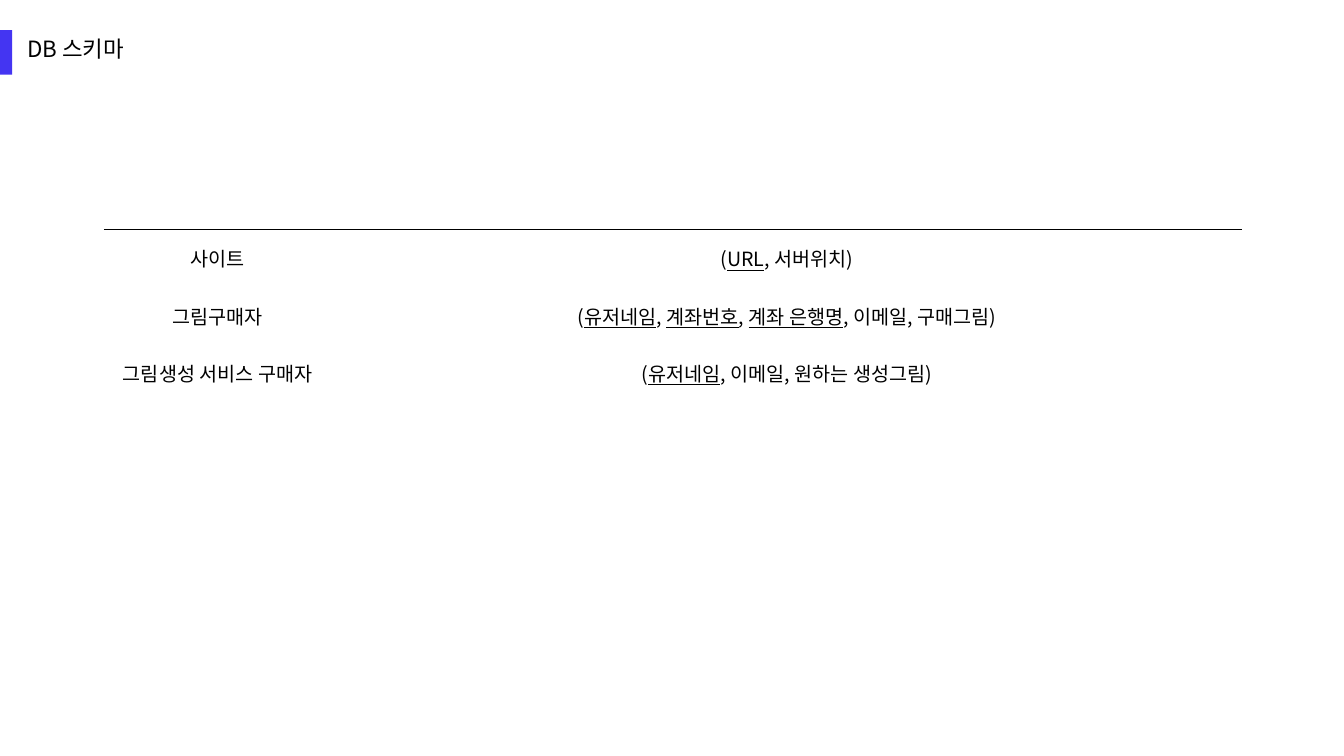
import pptx
import pptx.dml.color
import pptx.enum.shapes
import pptx.enum.text
import pptx.oxml
import pptx.oxml.ns
import pptx.util

Inches = pptx.util.Inches
FONT = "Noto Sans CJK KR"
BLACK = "000000"
ACCENT = "4435F2"
NO_STYLE = "{2D5ABB26-0587-4C30-8999-92F81FD0307C}"
SCHEMA = [
    ("사이트", "(_URL_, 서버위치)"),
    ("그림구매자", "(_유저네임_, _계좌번호_, _계좌 은행명_, 이메일, 구매그림)"),
    ("그림생성 서비스 구매자", "(_유저네임_, 이메일, 원하는 생성그림)"),
]


def rgb(value):
    """Turn a hex string into a colour."""
    return pptx.dml.color.RGBColor.from_string(value)


def add_run(p, text, size, underline=False):
    """Add a black run in the slide font, for Latin and Korean letters."""
    r = p.add_run()
    r.text = text
    formats = {"name": FONT, "size": pptx.util.Pt(size), "underline": underline}
    for name, value in formats.items():
        setattr(r.font, name, value)
    r.font.color.rgb = rgb(BLACK)
    ea = pptx.oxml.parse_xml(f'<a:ea {pptx.oxml.ns.nsdecls("a")} typeface="{FONT}"/>')
    r.font._element.find(pptx.oxml.ns.qn("a:latin")).addnext(ea)


def add_top_border(cell):
    """Draw a one-point black line along the top of a cell."""
    line = pptx.oxml.parse_xml(
        f'<a:lnT {pptx.oxml.ns.nsdecls("a")} w="12700"><a:solidFill>'
        f'<a:srgbClr val="{BLACK}"/></a:solidFill></a:lnT>')
    cell._tc.get_or_add_tcPr().insert(0, line)


def add_header(s, left, top, width):
    """Place the accent bar and the slide title beside it."""
    bar_width = Inches(0.12)
    bar = s.shapes.add_shape(pptx.enum.shapes.MSO_SHAPE.RECTANGLE,
                             left, top, bar_width, Inches(0.44))
    bar.shadow.inherit = False
    bar.fill.solid()
    bar.fill.fore_color.rgb = rgb(ACCENT)
    bar.line.fill.background()
    title = s.shapes.add_textbox(left + bar_width, top, width - bar_width, Inches(0.37))
    tf = title.text_frame
    tf.word_wrap = True
    tf.margin_left = Inches(0.15)
    add_run(tf.paragraphs[0], "DB 스키마", 16)


def add_schema_table(s, left, top, width, height):
    """Place the schema table, with key attributes underlined."""
    table = s.shapes.add_table(len(SCHEMA), 2, left, top, width, height).table
    table.first_row = table.horz_banding = False
    table._tbl.tblPr.find(pptx.oxml.ns.qn("a:tableStyleId")).text = NO_STYLE
    table.columns[0].width = Inches(2.26)
    table.columns[1].width = width - Inches(2.26)
    for row, texts in enumerate(SCHEMA):
        for col, text in enumerate(texts):
            cell = table.cell(row, col)
            cell.fill.background()
            cell.vertical_anchor = pptx.enum.text.MSO_ANCHOR.MIDDLE
            p = cell.text_frame.paragraphs[0]
            p.alignment = pptx.enum.text.PP_ALIGN.CENTER
            for i, part in enumerate(text.split("_")):
                add_run(p, part, 14, underline=i % 2 == 1)
            if row == 0:
                add_top_border(cell)


def main():
    """Build the slide and save it."""
    prs = pptx.Presentation()
    prs.slide_width, prs.slide_height = Inches(13.33), Inches(7.5)
    s = prs.slides.add_slide(prs.slide_layouts[6])
    add_header(s, 0, Inches(0.3), Inches(2.88))
    add_schema_table(s, Inches(1.03), Inches(2.28), Inches(11.29), Inches(1.7))
    prs.save("out.pptx")


if __name__ == "__main__":
    main()
